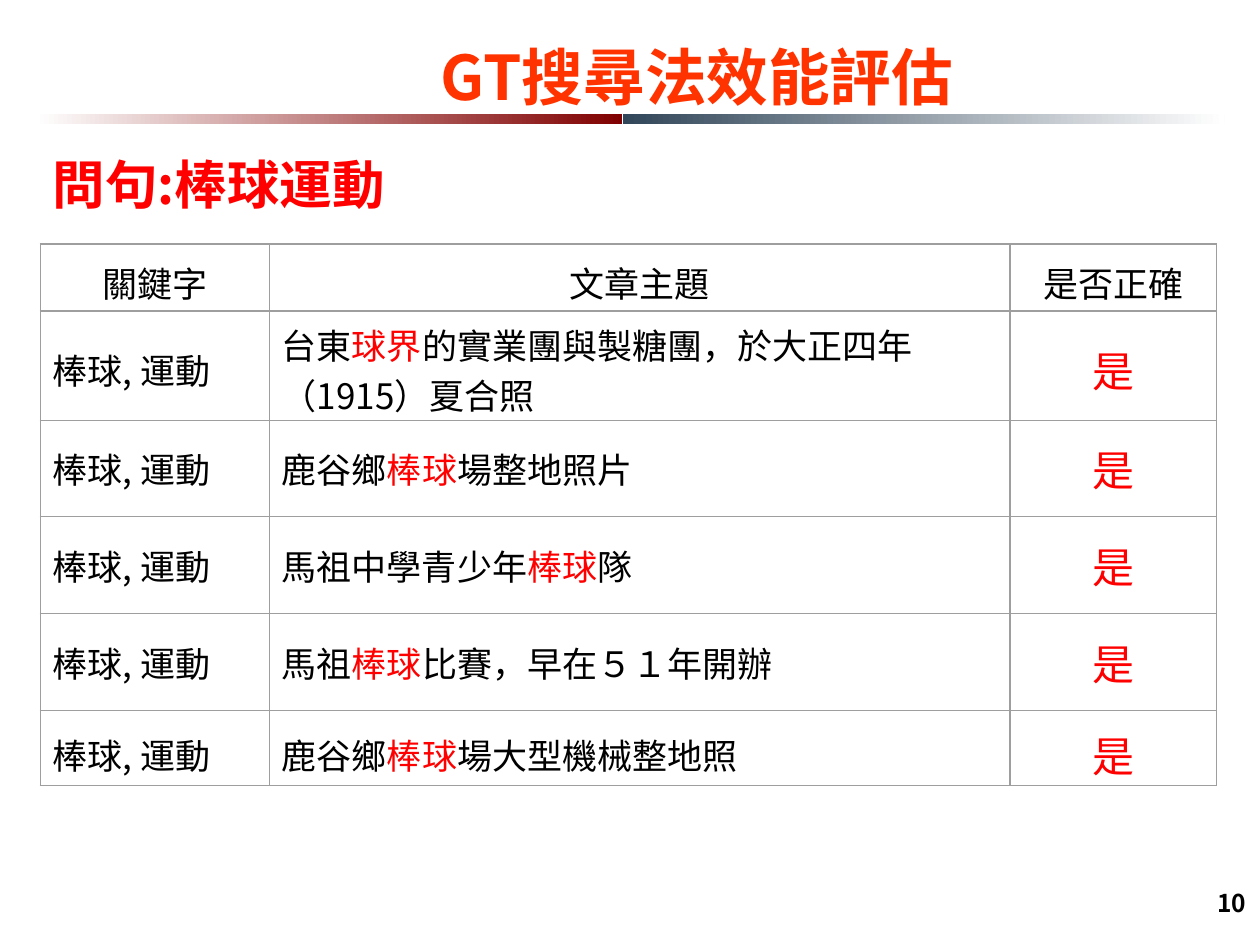
from dataclasses import dataclass

from lxml import etree
from pptx import Presentation
from pptx.dml.color import RGBColor
from pptx.enum import shapes, text
from pptx.oxml import ns
from pptx.util import Cm, Pt


@dataclass(frozen=True)
class Theme:
    font: str = "Noto Sans CJK SC"
    ink: str = "000000"
    paper: str = "FFFFFF"
    red: str = "FF0000"
    orange: str = "FF3300"
    maroon: str = "800000"
    slate: str = "314659"
    border: str = "9E9E9E"
    title: float = 35.2
    question: float = 30
    body: float = 20
    verdict: float = 24
    page: float = 14


THEME = Theme()
INSET = 0.25

HEADINGS = ["關鍵字", "文章主題", "是否正確"]
KEYWORDS = "棒球, 運動"
VERDICT = "是"
# Each topic: before the match, the match, after the match
TOPICS = [
    ("台東", "球界", "的實業團與製糖團，於大正四年（1915）夏合照"),
    ("鹿谷鄉", "棒球", "場整地照片"),
    ("馬祖中學青少年", "棒球", "隊"),
    ("馬祖", "棒球", "比賽，早在５１年開辦"),
    ("鹿谷鄉", "棒球", "場大型機械整地照"),
]
COLUMN_WIDTHS = [4.62, 14.93, 4.16]
# Height, top inset and bottom inset of each row
ROWS = [(1.35, 0.25, 0.08), (2.2, 0.14, 0)] + [(1.95, INSET, INSET)] * 3 + [(1.52, 0.25, 0.02)]


def style_run(run, size, color, bold=False):
    font = run.font
    font.size = Pt(size)
    font.bold = bold
    font.color.rgb = RGBColor.from_string(color)
    font.name = THEME.font
    east_asian = etree.SubElement(run._r.get_or_add_rPr(), ns.qn("a:ea"))
    east_asian.set("typeface", THEME.font)


def write_line(frame, words, size, color, align, inset_y=INSET):
    """Fill a frame with one bold line."""
    frame.word_wrap = True
    frame.margin_left = frame.margin_right = Cm(INSET)
    frame.margin_top = frame.margin_bottom = Cm(inset_y)
    frame.text = words
    paragraph = frame.paragraphs[0]
    paragraph.alignment = align
    style_run(paragraph.runs[0], size, color, bold=True)


def add_rule_half(slide, left, width, start, end):
    half = slide.shapes.add_shape(
        shapes.MSO_SHAPE.RECTANGLE, Cm(left), Cm(2.3), Cm(width), Cm(0.2))
    half.shadow.inherit = False
    half.line.fill.background()
    half.fill.gradient()
    half.fill.gradient_angle = 0
    for stop, color in zip(half.fill.gradient_stops, (start, end)):
        stop.color.rgb = RGBColor.from_string(color)


def add_title(slide):
    title = slide.shapes.title
    title.left, title.top, title.width, title.height = Cm(3.48), Cm(0.53), Cm(21.13), Cm(2)
    frame = title.text_frame
    frame.vertical_anchor = text.MSO_ANCHOR.MIDDLE
    frame.auto_size = text.MSO_AUTO_SIZE.NONE
    write_line(frame, "GT搜尋法效能評估", THEME.title, THEME.orange, text.PP_ALIGN.CENTER)


def add_label(slide, box, words, size, color, align, inset_y=INSET):
    label = slide.shapes.add_textbox(*(Cm(length) for length in box))
    write_line(label.text_frame, words, size, color, align, inset_y)


def set_borders(cell):
    properties = cell._tc.get_or_add_tcPr()
    for position, side in enumerate(("lnL", "lnR", "lnT", "lnB")):
        line = etree.Element(ns.qn(f"a:{side}"), w=str(Pt(0.75)))
        fill = etree.SubElement(line, ns.qn("a:solidFill"))
        etree.SubElement(fill, ns.qn("a:srgbClr"), val=THEME.border)
        properties.insert(position, line)


def fill_cell(cell, parts, align, insets):
    """Write (words, size, color) parts into a bordered cell."""
    cell.fill.background()
    set_borders(cell)
    cell.vertical_anchor = text.MSO_ANCHOR.MIDDLE
    cell.margin_left = cell.margin_right = Cm(INSET)
    cell.margin_top, cell.margin_bottom = (Cm(inset) for inset in insets)
    paragraph = cell.text_frame.paragraphs[0]
    paragraph.alignment = align
    for words, size, color in parts:
        run = paragraph.add_run()
        run.text = words
        style_run(run, size, color)


def add_results_table(slide):
    table = slide.shapes.add_table(
        len(ROWS), len(COLUMN_WIDTHS), Cm(0.81), Cm(4.92),
        Cm(sum(COLUMN_WIDTHS)), Cm(sum(row[0] for row in ROWS))).table
    table.first_row = table.horz_banding = False
    for column, width in zip(table.columns, COLUMN_WIDTHS):
        column.width = Cm(width)

    center, left = text.PP_ALIGN.CENTER, text.PP_ALIGN.LEFT
    body, ink, red = THEME.body, THEME.ink, THEME.red
    lines = [[([(heading, body, ink)], center) for heading in HEADINGS]]
    for before, match, after in TOPICS:
        lines.append([
            ([(KEYWORDS, body, ink)], left),
            ([(before, body, ink), (match, body, red), (after, body, ink)], left),
            ([(VERDICT, THEME.verdict, red)], center),
        ])
    for row, (height, *insets), line in zip(table.rows, ROWS, lines):
        row.height = Cm(height)
        for cell, (parts, align) in zip(row.cells, line):
            fill_cell(cell, parts, align, insets)


def main():
    deck = Presentation()
    deck.slide_width, deck.slide_height = Cm(25.4), Cm(19.05)
    slide = deck.slides.add_slide(deck.slide_layouts[5])

    # Heading and the two-tone rule below it
    add_rule_half(slide, 0.71, 11.84, THEME.paper, THEME.maroon)
    add_rule_half(slide, 12.55, 12.14, THEME.slate, THEME.paper)
    add_title(slide)

    # Query and its search results
    add_label(slide, (0.81, 2.82, 8.51, 1.8), "問句:棒球運動",
              THEME.question, THEME.red, text.PP_ALIGN.LEFT)
    add_results_table(slide)

    # Page number
    add_label(slide, (20.09, 17.78, 5.28, 1.04), "10",
              THEME.page, THEME.ink, text.PP_ALIGN.RIGHT, inset_y=0.13)

    deck.save("out.pptx")


if __name__ == "__main__":
    main()
